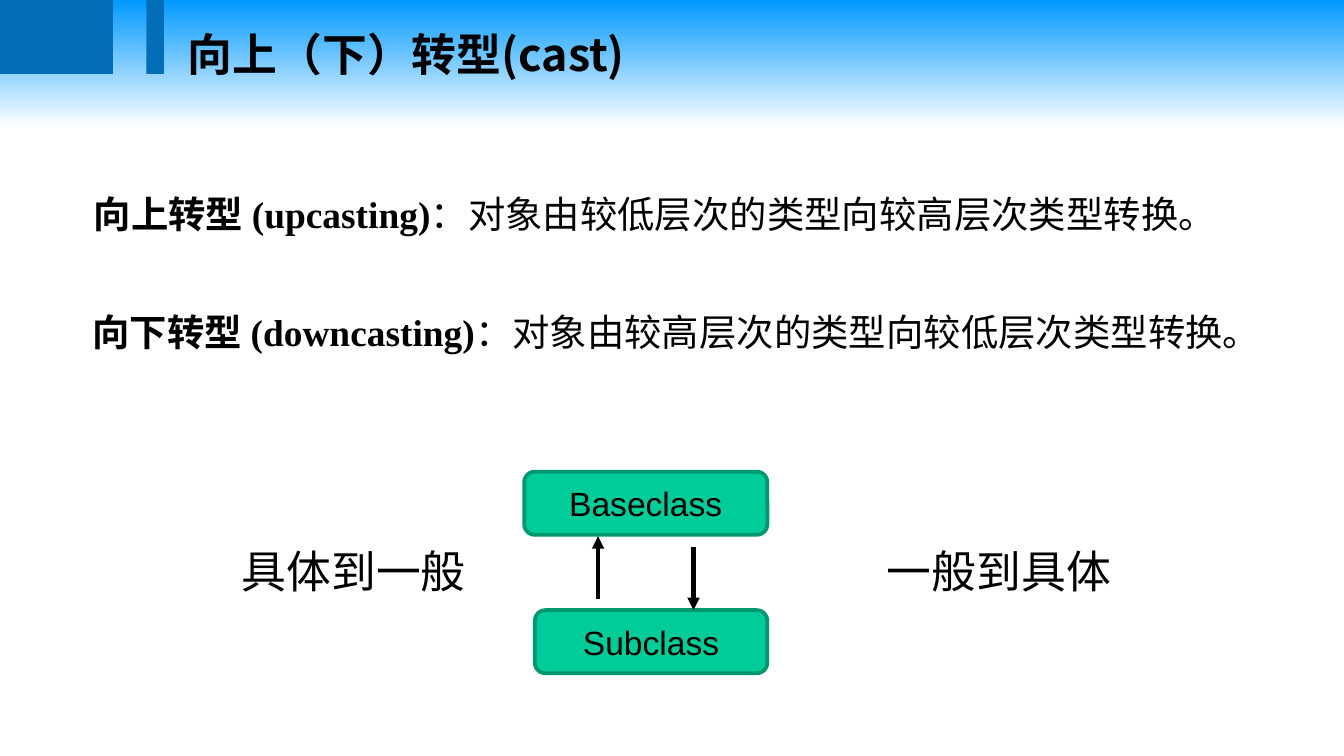
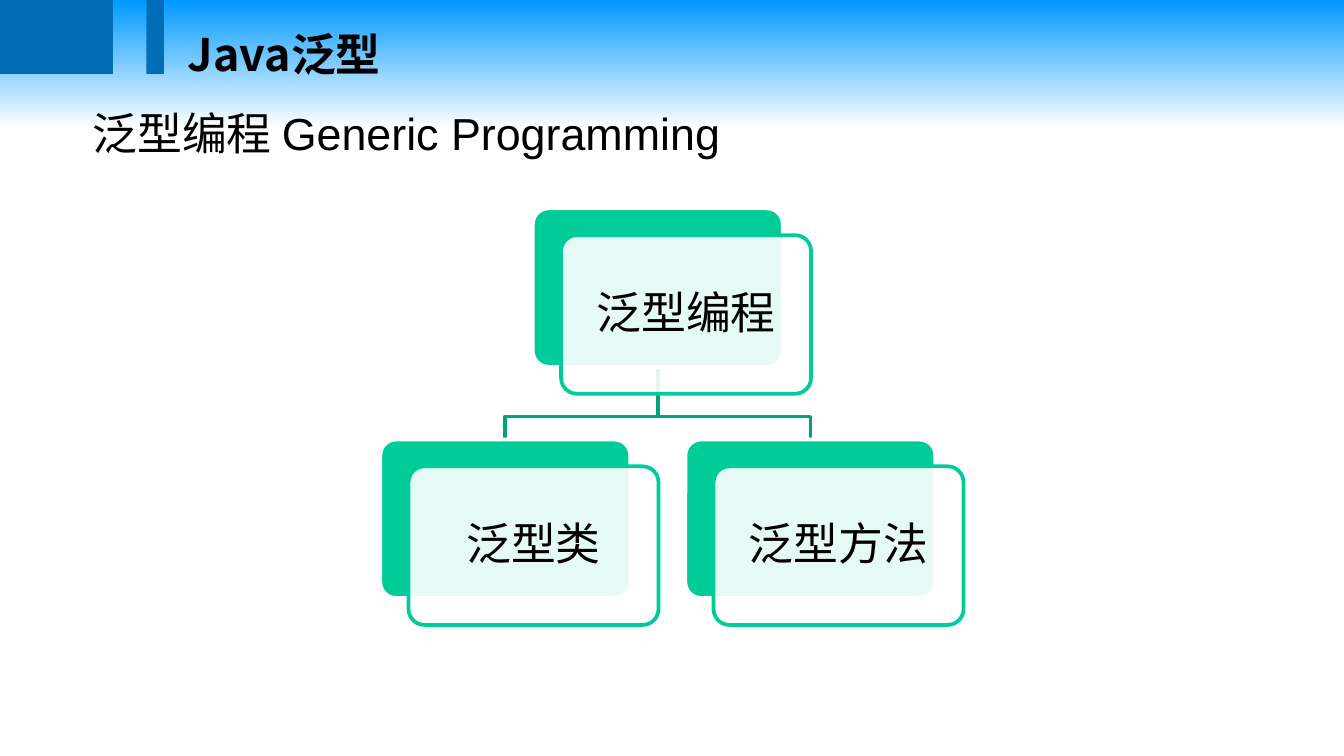
from lxml.etree import SubElement
from pptx import Presentation
from pptx.dml.color import RGBColor
from pptx.enum.shapes import MSO_CONNECTOR as Connector, MSO_SHAPE as Shape
from pptx.enum.text import MSO_ANCHOR as Anchor, MSO_AUTO_SIZE as AutoSize, PP_ALIGN as Align
from pptx.oxml.ns import qn
from pptx.util import Inches, Pt

COLORS = {
    "sky": "0099FF",
    "white": "FFFFFF",
    "black": "000000",
    "band": "036EB8",
    "green": "00CC99",
    "class_edge": "009771",
    "branch": "00A37B",
}
SLIDE_WIDTH = Inches(10)
CJK_FONT = "Noto Sans CJK SC"
TITLE = {"name": CJK_FONT, "size": Pt(24), "bold": True}
TERM = {"name": "Times New Roman", "size": Pt(20), "bold": True}
MEANING = {**TERM, "bold": False}
LABEL = {"name": "Times New Roman", "size": Pt(24)}
HEADING = {"name": "Arial", "size": Pt(24)}
CLASS_NAME = {"name": "Arial", "size": Pt(18)}
NODE_NAME = {"name": "Karla", "size": Pt(24)}


def color(name):
    return RGBColor.from_string(COLORS[name])


def set_values(target, values):
    for name, value in values.items():
        setattr(target, name, value)


def write_runs(paragraph, runs):
    for text, font_format in runs:
        run = paragraph.add_run()
        run.text = text
        run.font.color.rgb = color("black")
        set_values(run.font, font_format)
        SubElement(run.font._element, qn("a:ea"), typeface=CJK_FONT)


def add_text(slide, box, runs, wrap=False, line_spacing=None):
    frame = slide.shapes.add_textbox(*map(Inches, box)).text_frame
    set_values(frame, {"word_wrap": wrap, "auto_size": AutoSize.SHAPE_TO_FIT_TEXT})
    paragraph = frame.paragraphs[0]
    paragraph.line_spacing = line_spacing
    paragraph._p.get_or_add_pPr().set("hangingPunct", "0")
    write_runs(paragraph, runs)


def add_block(shapes, kind, box, fill, edge=None, radius=None):
    shape = shapes.add_shape(kind, *map(Inches, box))
    shape.shadow.inherit = False
    shape.fill.solid()
    shape.fill.fore_color.rgb = color(fill)
    if edge:
        shape.line.color.rgb = color(edge)
        shape.line.width = Pt(2)
    else:
        shape.line.fill.background()
    if radius is not None:
        shape.adjustments[0] = radius
    return shape


def center_text(shape, text, font_format, frame_format, line_spacing=None):
    set_values(shape.text_frame, {"vertical_anchor": Anchor.MIDDLE, **frame_format})
    paragraph = shape.text_frame.paragraphs[0]
    set_values(paragraph, {"alignment": Align.CENTER, "line_spacing": line_spacing})
    write_runs(paragraph, [(text, font_format)])


def add_titled_slide(presentation, title, title_width):
    slide = presentation.slides.add_slide(presentation.slide_layouts[6])
    fill = slide.background.fill
    fill.gradient()
    fill.gradient_angle = 270
    for stop, name, position in zip(fill.gradient_stops, ("sky", "white"), (0, 0.17)):
        stop.color.rgb = color(name)
        stop.position = position
    band = slide.shapes.add_group_shape()
    for left, width in ((0, 0.84), (1.09, 0.13)):
        add_block(band.shapes, Shape.RECTANGLE, (left, 0, width, 0.55), "band")
    add_text(slide, (1.3, 0.07, title_width, 0.52), [(title, TITLE)], True, 1.2)
    return slide


def add_definition(slide, box, term, meaning):
    add_text(slide, box, [(term, TERM), (meaning, MEANING)], wrap=True)


def add_arrow(slide, x, start, end):
    arrow = slide.shapes.add_connector(
        Connector.STRAIGHT, Inches(x), Inches(start), Inches(x), Inches(end))
    arrow.line.color.rgb = color("black")
    arrow.line.width = Pt(2.25)
    SubElement(arrow.line._get_or_add_ln(), qn("a:tailEnd"), type="triangle")
    SubElement(arrow._element.spPr, qn("a:effectLst"))


def add_class_diagram(slide, left, top):
    height, gap = 0.47, 0.56
    bottom = top + height
    lower_top = bottom + gap
    classes = (
        ("Subclass", (left + 0.08, lower_top, 1.73, height)),
        ("Baseclass", (left, top, 1.81, height)),
    )
    for name, box in classes:
        shape = add_block(slide.shapes, Shape.ROUNDED_RECTANGLE, box, "green", "class_edge")
        center_text(shape, name, CLASS_NAME, {"word_wrap": False})
    add_arrow(slide, left + 0.55, lower_top - 0.08, bottom + 0.01)
    add_arrow(slide, left + 1.26, bottom + 0.09, lower_top)


def add_branch(shapes, start, end):
    (x, y), (end_x, end_y) = start, end
    bend = y + 0.37
    points = [(x, bend), (end_x, bend), (end_x, end_y)]
    builder = shapes.build_freeform(Inches(x), Inches(y))
    builder.add_line_segments(
        [(Inches(a), Inches(b)) for a, b in points], close=False)
    branch = builder.convert_to_shape()
    branch.shadow.inherit = False
    branch.fill.background()
    branch.line.color.rgb = color("branch")
    branch.line.width = Pt(2)


def add_node(shapes, box, name):
    left, top, width, height = box
    add_block(shapes, Shape.ROUNDED_RECTANGLE, box, "green", "white", 0.1)
    front = (left + 0.21, top + 0.2, width, height)
    card = add_block(shapes, Shape.ROUNDED_RECTANGLE, front, "white", "green", 0.1)
    tint = card._element.spPr.find(qn("a:solidFill")).find(qn("a:srgbClr"))
    SubElement(tint, qn("a:alpha"), val="90000")
    sides = ("left", "top", "right", "bottom")
    insets = {f"margin_{side}": Inches(0.1) for side in sides}
    center_text(card, name, NODE_NAME, {"word_wrap": True, **insets}, 0.9)


def add_tree(slide, left, top, root, children):
    width, height, step, drop = 1.86, 1.18, 2.27, 1.72
    shapes = slide.shapes.add_group_shape().shapes
    root_left = left + step * (len(children) - 1) / 2
    lefts = [left + index * step for index in range(len(children))]
    start = (root_left + width / 2, top + height)
    for child_left in reversed(lefts):
        add_branch(shapes, start, (child_left + width / 2, top + drop))
    add_node(shapes, (root_left, top, width, height), root)
    for child_left, child in zip(lefts, children):
        add_node(shapes, (child_left, top + drop, width, height), child)


def build_cast_slide(presentation):
    slide = add_titled_slide(presentation, "向上（下）转型(cast)", 4.17)
    add_definition(slide, (0.6, 1.37, 8.63, 0.44), "向上转型 (upcasting)",
                   "：对象由较低层次的类型向较高层次类型转换。")
    add_definition(slide, (0.59, 2.25, 8.97, 0.44), "向下转型 (downcasting)",
                   "：对象由较高层次的类型向较低层次类型转换。")
    add_class_diagram(slide, 3.9, 3.51)
    for left, text in ((6.5, "一般到具体"), (1.7, "具体到一般")):
        add_text(slide, (left, 4, 1.88, 0.5), [(text, LABEL)])


def build_generics_slide(presentation):
    slide = add_titled_slide(presentation, "Java泛型", 3.94)
    add_text(slide, (0.59, 0.74, 5.19, 0.5), [("泛型编程 Generic Programming", HEADING)])
    add_tree(slide, 2.83, 1.55, "泛型编程", ("泛型类", "泛型方法"))


def main():
    presentation = Presentation()
    set_values(presentation, {
        "slide_width": SLIDE_WIDTH,
        "slide_height": SLIDE_WIDTH * 9 // 16,
    })
    build_cast_slide(presentation)
    build_generics_slide(presentation)
    presentation.save("out.pptx")


if __name__ == "__main__":
    main()
